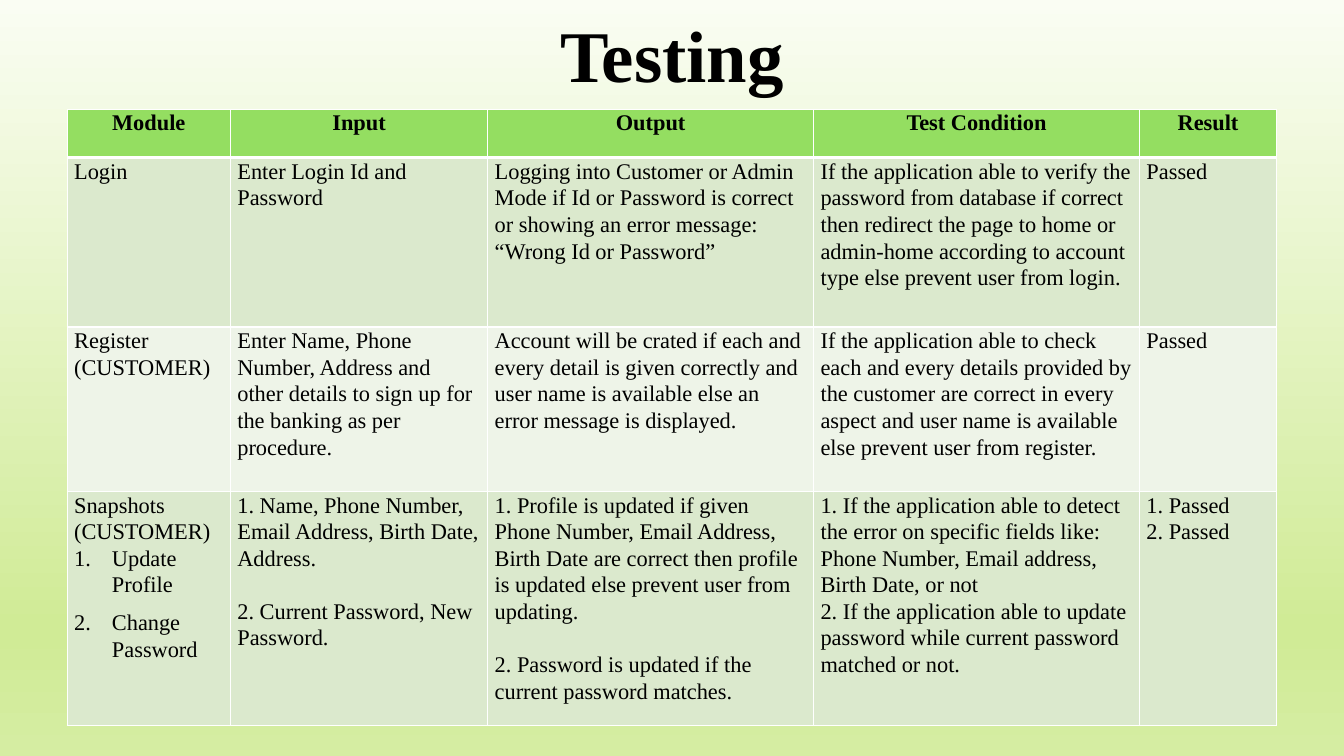
from lxml import etree
from pptx import Presentation
from pptx import util as u
from pptx.dml.color import RGBColor
from pptx.enum import text
from pptx.oxml import ns

FONT = "Times New Roman"
COLORS = {"text": "000000", "border": "FFFFFF", "header": "94DE61",
          "band_dark": "DBE9CD", "band_light": "EEF4E8"}
BACKGROUND = [(0, "FAFDF3"), (83, "D0EB96"), (100, "D5EDA2"), (100, "DFF1B9")]


def add_run(p, words, size, bold):
    r = p.add_run()
    r.text = words
    r.font.name, r.font.size, r.font.bold = FONT, u.Pt(size), bold
    r.font.color.rgb = RGBColor.from_string(COLORS["text"])


def add_border(cell, index, side, width):
    ln = etree.Element(ns.qn("a:" + side), w=str(u.Pt(width)))
    fill = etree.SubElement(ln, ns.qn("a:solidFill"))
    etree.SubElement(fill, ns.qn("a:srgbClr"), val=COLORS["border"])
    cell._tc.get_or_add_tcPr().insert(index, ln)


prs = Presentation()
prs.slide_width, prs.slide_height = u.Pt(960), u.Pt(540)
s = prs.slides.add_slide(prs.slide_layouts[5])

# Background gradient, top to bottom
fill = s.background.fill
fill.gradient()
fill.gradient_angle = 270
stops = s._element.find(".//" + ns.qn("a:gsLst"))
for stop in list(stops):
    stops.remove(stop)
for percent, color in BACKGROUND:
    stop = etree.SubElement(stops, ns.qn("a:gs"), pos=str(percent * 1000))
    etree.SubElement(stop, ns.qn("a:srgbClr"), val=color)

# Title
title = s.shapes.title
title.left, title.top = u.Pt(351), u.Pt(1)
title.width, title.height = u.Pt(258), u.Pt(70.5)
tf = title.text_frame
tf.auto_size = text.MSO_AUTO_SIZE.NONE
tf.vertical_anchor = text.MSO_ANCHOR.BOTTOM
tf.margin_bottom = u.Pt(2)
p = tf.paragraphs[0]
p.alignment = text.PP_ALIGN.CENTER
add_run(p, "Testing", 52, True)

# Table content: one list of paragraphs per cell
rows = [
    [["Module"], ["Input"], ["Output"], ["Test Condition"], ["Result"]],
    [["Login"],
     ["Enter Login Id and Password"],
     ["Logging into Customer or Admin Mode if Id or Password is correct or showing "
      "an error message: “Wrong Id or Password”"],
     ["If the application able to verify the password from database if correct then "
      "redirect the page to home or admin-home according to account type else "
      "prevent user from login."],
     ["Passed"]],
    [["Register", "(CUSTOMER)"],
     ["Enter Name, Phone Number, Address and other details to sign up for the "
      "banking as per procedure."],
     ["Account will be crated if each and every detail is given correctly and user "
      "name is available else an error message is displayed."],
     ["If the application able to check each and every details provided by the "
      "customer are correct in every aspect and user name is available else "
      "prevent user from register."],
     ["Passed"]],
    [["Snapshots", "(CUSTOMER)", "Update Profile", "Change Password"],
     ["1. Name, Phone Number, Email Address, Birth Date, Address.",
      "2. Current Password, New Password."],
     ["1. Profile is updated if given Phone Number, Email Address, Birth Date are "
      "correct then profile is updated else prevent user from updating.",
      "2. Password is updated if the current password matches."],
     ["1. If the application able to detect the error on specific fields like: "
      "Phone Number, Email address, Birth Date, or not",
      "2. If the application able to update password while current password "
      "matched or not."],
     ["1. Passed", "2. Passed"]],
]
col_widths = [116.6, 183.8, 232.8, 232.8, 98]
row_heights = [34.6, 121, 117.4, 167]
row_fills = ["header", "band_dark", "band_light", "band_dark"]

# Table
table = s.shapes.add_table(len(rows), len(col_widths), u.Pt(48), u.Pt(78),
                           u.Pt(sum(col_widths)), u.Pt(sum(row_heights))).table
for col, width in zip(table.columns, col_widths):
    col.width = u.Pt(width)
for row, height in zip(table.rows, row_heights):
    row.height = u.Pt(height)

for i, row in enumerate(rows):
    for j, lines in enumerate(row):
        cell = table.cell(i, j)
        cell.margin_left = cell.margin_right = u.Pt(5)
        cell.margin_top = cell.margin_bottom = 0
        cell.fill.solid()
        cell.fill.fore_color.rgb = RGBColor.from_string(COLORS[row_fills[i]])
        edges = [("lnL", 1), ("lnR", 1), ("lnT", 3 if i == 1 else 1),
                 ("lnB", 3 if i == 0 else 1)]
        for k, (side, width) in enumerate(edges):
            add_border(cell, k, side, width)

        tf = cell.text_frame
        for k, line in enumerate(lines):
            p = tf.paragraphs[0] if k == 0 else tf.add_paragraph()
            p.alignment = text.PP_ALIGN.CENTER if i == 0 else text.PP_ALIGN.LEFT
            p.line_spacing = 1.07
            # One open line between the numbered inputs and outputs
            if i == 3 and j in (1, 2) and k == 1:
                p.space_before = u.Pt(19)
            # Numbered list of snapshots
            if i == 3 and j == 0 and k >= 2:
                p.space_after = u.Pt(8)
                pPr = p._p.get_or_add_pPr()
                pPr.set("marL", str(u.Pt(27)))
                pPr.set("indent", str(-u.Pt(27)))
                etree.SubElement(pPr, ns.qn("a:buAutoNum"), type="arabicPeriod")
            add_run(p, line, 16, i == 0)

prs.save("out.pptx")
